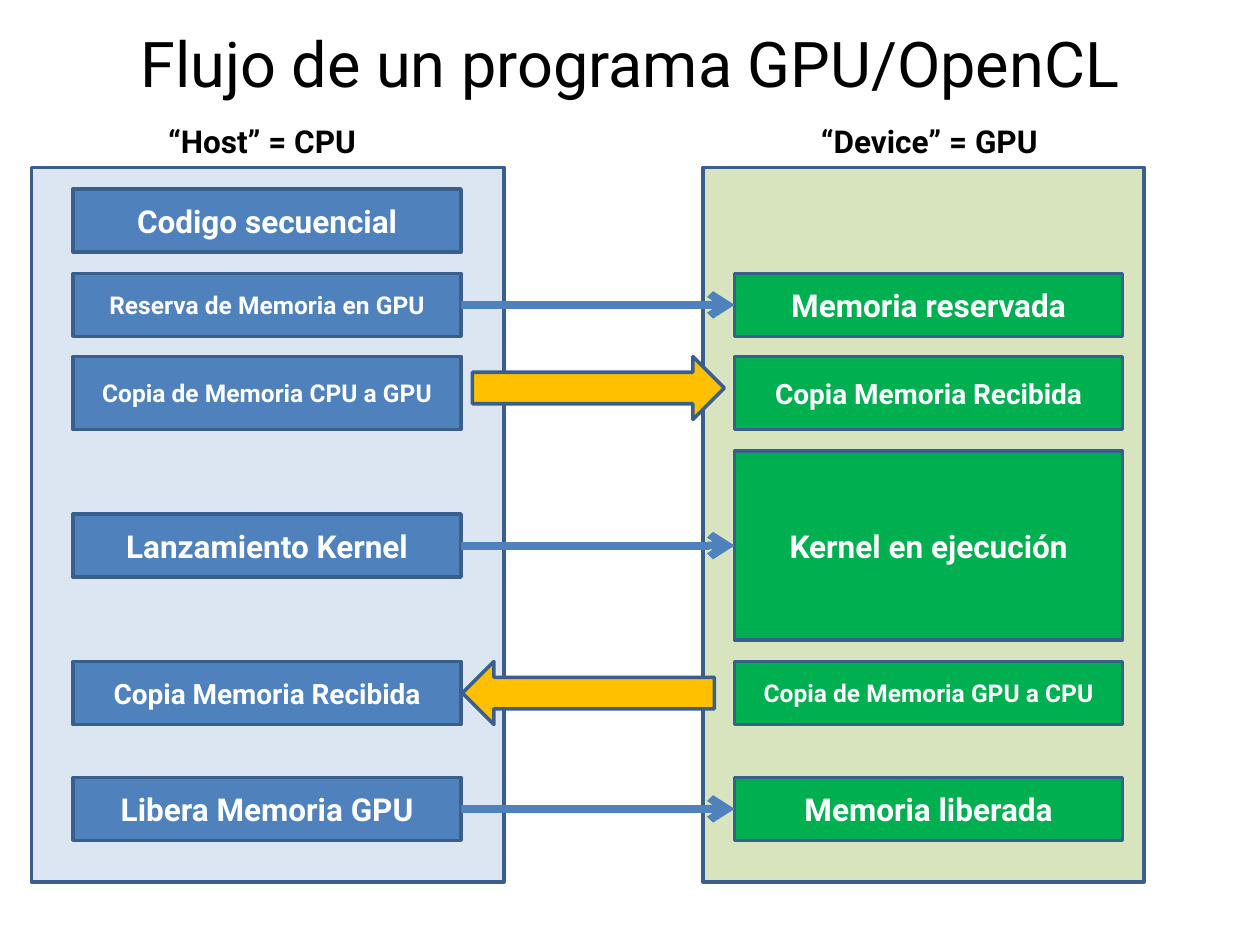
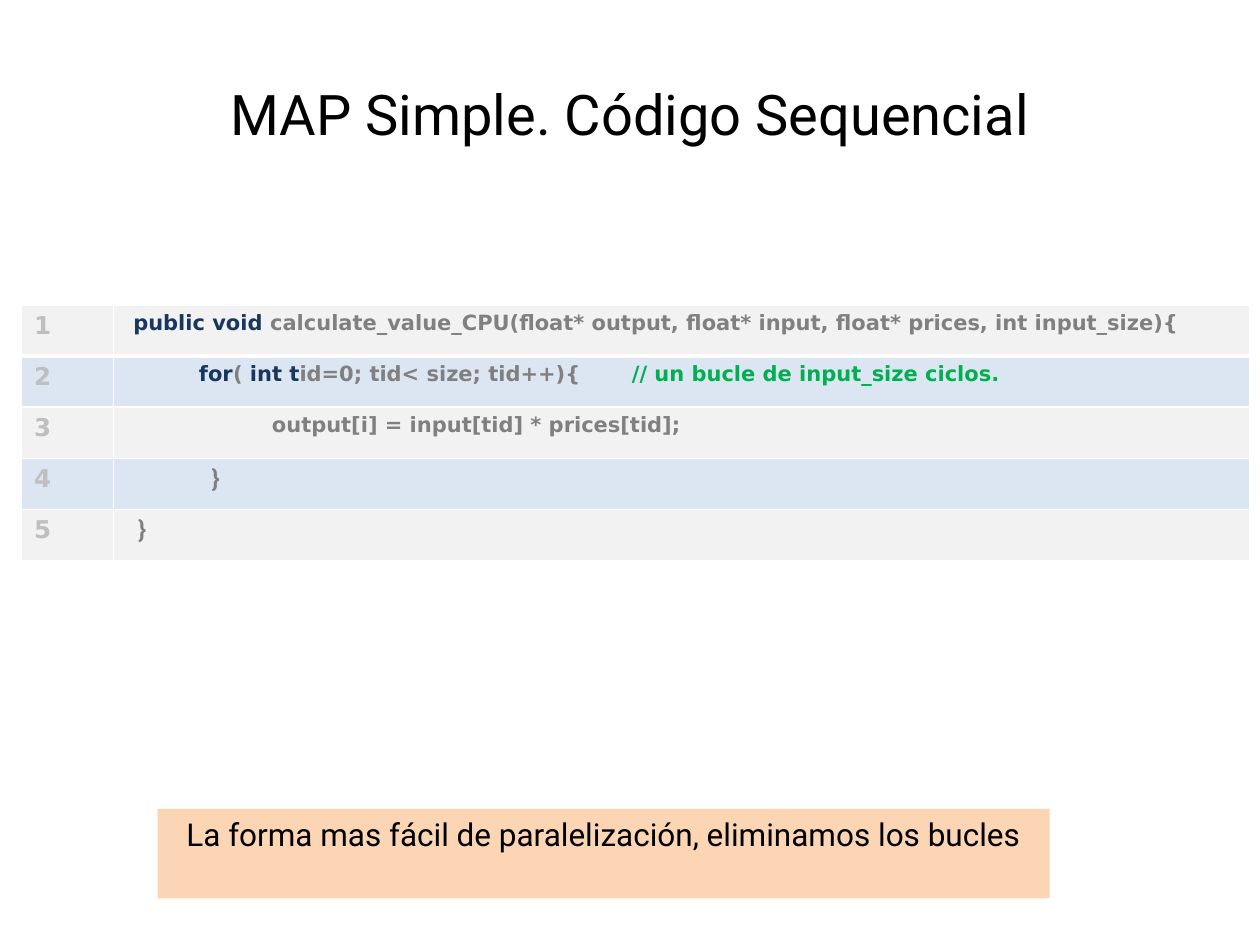
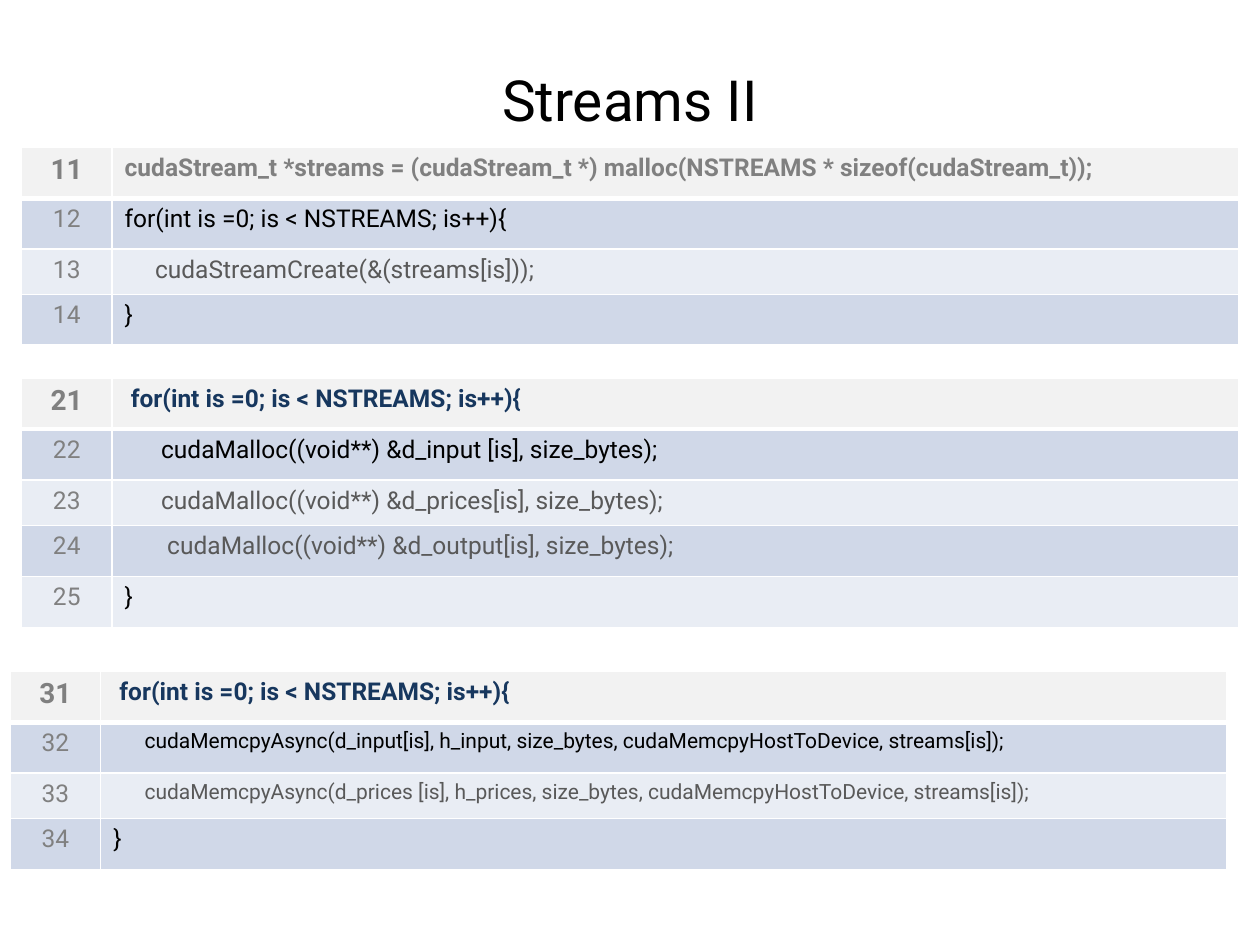
from dataclasses import dataclass

from lxml import etree
from pptx import Presentation
from pptx.dml.color import RGBColor
from pptx.enum.shapes import MSO_CONNECTOR, MSO_SHAPE
from pptx.enum.text import MSO_ANCHOR, MSO_AUTO_SIZE, PP_ALIGN
from pptx.oxml.ns import qn
from pptx.util import Inches, Pt

RECT, BLOCK_ARROW = MSO_SHAPE.RECTANGLE, MSO_SHAPE.RIGHT_ARROW
STRAIGHT = MSO_CONNECTOR.STRAIGHT
TOP, MIDDLE = MSO_ANCHOR.TOP, MSO_ANCHOR.MIDDLE
LEFT, CENTER = PP_ALIGN.LEFT, PP_ALIGN.CENTER
NO_AUTOFIT = MSO_AUTO_SIZE.NONE
LEFT_SIDE, RIGHT_SIDE = 1, 3
TITLE_ONLY = 5


@dataclass(frozen=True)
class Theme:
    font: str = "Roboto"
    code_font: str = "DejaVu Sans"
    black: str = "000000"
    white: str = "FFFFFF"
    outline: str = "3A5F8C"
    host: str = "4F81BD"
    host_panel: str = "DCE6F2"
    device: str = "00B050"
    device_panel: str = "D7E4BD"
    transfer: str = "FFC000"
    note: str = "FCD5B5"
    header_row: str = "F2F2F2"
    dark_band: str = "D0D8E8"
    light_band: str = "E9EDF4"
    keyword: str = "17375E"
    comment: str = "00B050"
    code: str = "808080"
    dim_code: str = "595959"
    pale_number: str = "BFBFBF"
    large: int = 18
    medium: int = 16
    small: int = 14
    tiny: int = 12


T = Theme()

# Titles: text, top, height, size
FLOW_TITLE = ("Flujo de un programa GPU/OpenCL", 0.08, 0.83, 36)
MAP_TITLE = ("MAP Simple. Código Sequencial", 0.55, 0.7, 32)
STREAMS_TITLE = ("Streams II", 0.45, 0.67, 32.4)

# Panels: left, width, fill
PANEL_TOP, PANEL_HEIGHT = 1.33, 5.67
PANELS = [(0.25, 3.75, T.host_panel), (5.58, 3.5, T.device_panel)]
# Panel headings: text, left, width
HEADINGS = [("“Host” = CPU", 0.83, 2.5), ("“Device” = GPU", 6, 2.75)]

HOST_LEFT, DEVICE_LEFT, STEP_WIDTH = 0.58, 5.83, 3.08
CALL, SEND, RETURN = "call", "send", "return"
# Flow: host step, device step, link; a step is text, size, top, height
FLOW = [
    (("Codigo secuencial", T.large, 1.5, 0.5), None, None),
    (("Reserva de Memoria en GPU", T.small, 2.17, 0.5),
     ("Memoria reservada", T.large, 2.17, 0.5), CALL),
    (("Copia de Memoria CPU a GPU", T.small, 2.83, 0.58),
     ("Copia Memoria Recibida", T.medium, 2.83, 0.58), SEND),
    (("Lanzamiento Kernel", T.large, 4.08, 0.5),
     ("Kernel en ejecución", T.large, 3.58, 1.5), CALL),
    (("Copia Memoria Recibida", T.medium, 5.25, 0.5),
     ("Copia de Memoria GPU a CPU", T.small, 5.25, 0.5), RETURN),
    (("Libera Memoria GPU", T.large, 6.17, 0.5),
     ("Memoria liberada", T.large, 6.17, 0.5), CALL),
]
# Block arrows: left, rotation
TRANSFERS = {SEND: (3.75, 0), RETURN: (3.67, 180)}

# Code lines: size, font, runs of (text, colour)
MAP_CODE = [
    (T.tiny, T.code_font, [
        (" public void ", T.keyword),
        ("calculate_value_CPU(float* output, float* input, float* prices, int input_size){", T.code)]),
    (T.tiny, T.code_font, [
        ("          for", T.keyword), ("( ", T.code), ("int t", T.keyword),
        ("id=0; tid< size; tid++){       ", T.code),
        ("// un bucle de input_size ciclos.", T.comment)]),
    (T.tiny, T.code_font, [
        ("                    output[i] = input[tid] * prices[tid];", T.code)]),
    (T.small, T.font, [("              }", T.code)]),
    (T.small, T.font, [("  }", T.code)]),
]
MAP_LISTING = dict(
    left=0.17, top=2.42, height=2.03, columns=(0.73, 9.02), first_number=1, lines=MAP_CODE,
    third_row=0.41, bands=(T.host_panel, T.header_row), all_bold=True,
    number=dict(font=T.code_font, color=T.pale_number, align=LEFT, header_size=T.small))
MAP_NOTE = "La forma mas fácil de paralelización, eliminamos los bucles"

LOOP = (T.small, T.font, [(" for(int is =0; is < NSTREAMS; is++){", T.keyword)])
LOOP_END = (T.small, T.font, [("}", T.black)])
CREATE_CODE = [
    (T.small, T.font, [
        ("cudaStream_t *streams = (cudaStream_t *) malloc(NSTREAMS * sizeof(cudaStream_t));", T.code)]),
    (T.small, T.font, [("for(int is =0; is < NSTREAMS; is++){", T.black)]),
    (T.small, T.font, [("     cudaStreamCreate(&(streams[is]));", T.dim_code)]),
    LOOP_END,
]
MALLOC_CODE = [
    LOOP,
    (T.small, T.font, [("      cudaMalloc((void**) &d_input [is], size_bytes);", T.black)]),
    (T.small, T.font, [("      cudaMalloc((void**) &d_prices[is], size_bytes);", T.dim_code)]),
    (T.small, T.font, [("       cudaMalloc((void**) &d_output[is], size_bytes);", T.dim_code)]),
    LOOP_END,
]
COPY_CODE = [
    LOOP,
    (T.tiny, T.font, [
        ("      cudaMemcpyAsync(d_input[is], h_input, size_bytes, cudaMemcpyHostToDevice, streams[is]);",
         T.black)]),
    (T.tiny, T.font, [
        ("      cudaMemcpyAsync(d_prices [is], h_prices, size_bytes, cudaMemcpyHostToDevice, streams[is]);",
         T.dim_code)]),
    LOOP_END,
]
STREAM_STYLE = dict(
    columns=(0.72, 8.94), third_row=0.36, bands=(T.dark_band, T.light_band), all_bold=False,
    number=dict(font=T.font, color=T.code, align=CENTER, header_size=T.medium))
STREAM_LISTINGS = [
    dict(left=0.17, top=1.17, height=1.57, first_number=11, lines=CREATE_CODE, **STREAM_STYLE),
    dict(left=0.17, top=3, height=1.98, first_number=21, lines=MALLOC_CODE, **STREAM_STYLE),
    dict(left=0.08, top=5.33, height=1.57, first_number=31, lines=COPY_CODE, **STREAM_STYLE),
]


def rgb(value):
    return RGBColor.from_string(value)


def write(frame, runs, size, font=T.font, bold=False, align=CENTER, anchor=TOP):
    """Fill a text frame with one paragraph of (text, colour) runs."""
    for name, value in dict(word_wrap=True, auto_size=NO_AUTOFIT, vertical_anchor=anchor).items():
        setattr(frame, name, value)
    write_runs(frame.paragraphs[0], runs, size, font, bold, align)


def write_runs(paragraph, runs, size, font, bold, align):
    paragraph.alignment = align
    for text, color in runs:
        run = paragraph.add_run()
        run.text = text
        for name, value in dict(size=Pt(size), name=font, bold=bold).items():
            setattr(run.font, name, value)
        run.font.color.rgb = rgb(color)


def add_titled_slide(deck, text, top, height, size):
    slide = deck.slides.add_slide(deck.slide_layouts[TITLE_ONLY])
    title = slide.shapes.title
    place = dict(left=0.5, top=top, width=9, height=height)
    for name, value in place.items():
        setattr(title, name, Inches(value))
    write(title.text_frame, [(text, T.black)], size, anchor=MIDDLE)
    return slide


def add_block(slide, preset, place, fill, outline=T.outline):
    block = slide.shapes.add_shape(preset, *map(Inches, place))
    block.shadow.inherit = False
    block.fill.solid()
    block.fill.fore_color.rgb = rgb(fill)
    if outline:
        block.line.color.rgb = rgb(outline)
        block.line.width = Pt(2)
    else:
        block.line.fill.background()
    return block


def add_step(slide, step, left, fill):
    text, size, top, height = step
    block = add_block(slide, RECT, (left, top, STEP_WIDTH, height), fill)
    write(block.text_frame, [(text, T.white)], size, bold=True, anchor=MIDDLE)
    return block


def add_call(slide, caller, callee):
    """Join two steps with an arrow."""
    arrow = slide.shapes.add_connector(STRAIGHT, 0, 0, 0, 0)
    arrow.begin_connect(caller, RIGHT_SIDE)
    arrow.end_connect(callee, LEFT_SIDE)
    arrow.line.color.rgb = rgb(T.host)
    arrow.line.width = Pt(4.5)
    etree.SubElement(arrow.line._get_or_add_ln(), qn("a:tailEnd"), type="arrow")
    etree.SubElement(arrow._element.spPr, qn("a:effectLst"))


def add_borders(cell, widths):
    """Draw white cell borders; widths maps an edge tag to points, in schema order."""
    properties = cell._tc.get_or_add_tcPr()
    for position, (edge, width) in enumerate(widths.items()):
        border = etree.Element(qn(edge), w=str(Pt(width)))
        fill = etree.SubElement(border, qn("a:solidFill"))
        etree.SubElement(fill, qn("a:srgbClr"), val=T.white)
        properties.insert(position, border)


def add_listing(slide, left, top, height, columns, first_number, lines, third_row, bands,
                all_bold, number):
    """Add a table of numbered code lines."""
    row_height = (height - third_row) / (len(lines) - 1)
    place = map(Inches, (left, top, sum(columns), height))
    table = slide.shapes.add_table(len(lines), len(columns), *place).table
    for column, width in zip(table.columns, columns):
        column.width = Inches(width)
    for index, (size, font, runs) in enumerate(lines):
        header = index == 0
        table.rows[index].height = Inches(third_row if index == 2 else row_height)
        number_cell, code_cell = table.rows[index].cells
        for cell in (number_cell, code_cell):
            cell.fill.solid()
            cell.fill.fore_color.rgb = rgb(T.header_row if header else bands[(index - 1) % 2])
            add_borders(cell, {"a:lnL": 1, "a:lnR": 1, "a:lnT": 3 if index == 1 else 1,
                               "a:lnB": 3 if header else 1})
        bold = header or all_bold
        write_runs(number_cell.text_frame.paragraphs[0],
                   [(str(first_number + index), number["color"])],
                   number["header_size"] if header else T.small,
                   number["font"], bold, number["align"])
        write_runs(code_cell.text_frame.paragraphs[0], runs, size, font, bold, LEFT)


def build_flow(deck):
    slide = add_titled_slide(deck, *FLOW_TITLE)
    for left, width, fill in PANELS:
        add_block(slide, RECT, (left, PANEL_TOP, width, PANEL_HEIGHT), fill)
    for text, left, width in HEADINGS:
        heading = slide.shapes.add_textbox(*map(Inches, (left, 0.92, width, 0.4)))
        write(heading.text_frame, [(text, T.black)], T.large, bold=True)
    for host_step, device_step, link in FLOW:
        host = add_step(slide, host_step, HOST_LEFT, T.host)
        if device_step:
            device = add_step(slide, device_step, DEVICE_LEFT, T.device)
        if link == CALL:
            add_call(slide, host, device)
        elif link:
            left, rotation = TRANSFERS[link]
            transfer = add_block(slide, BLOCK_ARROW, (left, host_step[2], 2, 0.5), T.transfer)
            transfer.rotation = rotation


def build_map(deck):
    slide = add_titled_slide(deck, *MAP_TITLE)
    add_listing(slide, **MAP_LISTING)
    note = add_block(slide, RECT, (1.25, 6.42, 7.08, 0.71), T.note, outline=None)
    write(note.text_frame, [(MAP_NOTE, T.black)], T.large)


def build_streams(deck):
    slide = add_titled_slide(deck, *STREAMS_TITLE)
    for listing in STREAM_LISTINGS:
        add_listing(slide, **listing)


def main():
    deck = Presentation()
    deck.slide_width, deck.slide_height = Inches(10), Inches(7.5)
    build_flow(deck)
    build_map(deck)
    build_streams(deck)
    deck.save("out.pptx")


if __name__ == "__main__":
    main()
